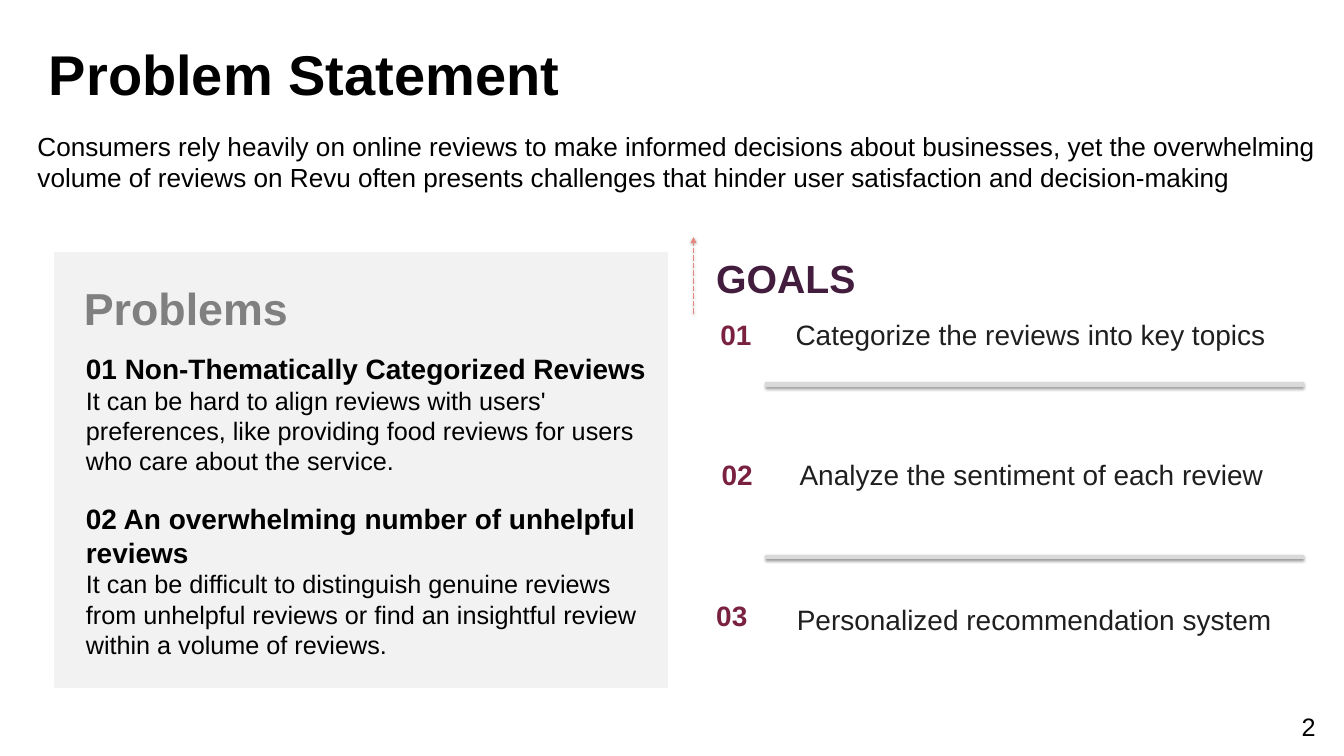
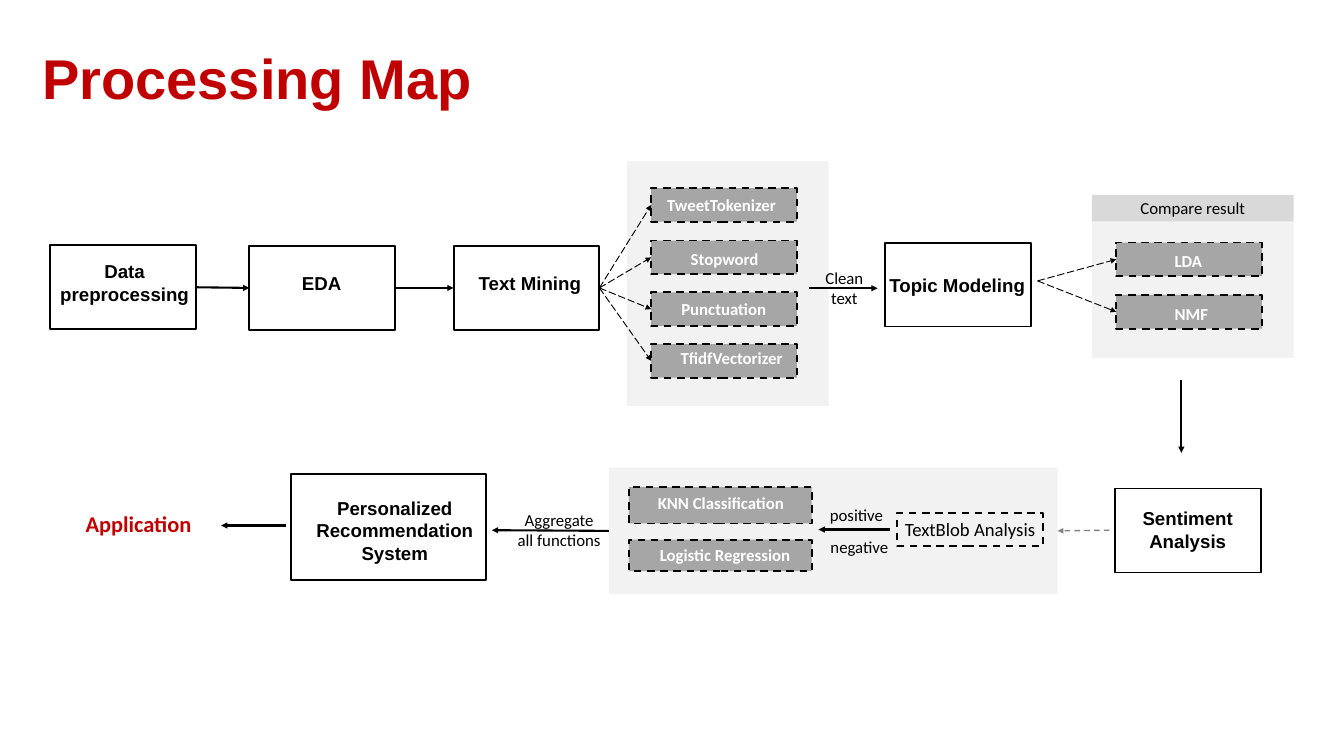
"""Build the problem statement and processing map slides."""
from lxml.etree import SubElement
from pptx import Presentation
from pptx.dml.color import RGBColor
from pptx.enum.dml import MSO_LINE
from pptx.enum.shapes import MSO_CONNECTOR, MSO_SHAPE
from pptx.enum.text import MSO_ANCHOR, PP_ALIGN
from pptx.oxml import parse_xml
from pptx.oxml.ns import nsdecls, qn
from pptx.util import Inches, Pt

BLACK, WHITE, RED = "000000", "FFFFFF", "C00000"
PANEL, CHIP, RULE = "F2F2F2", "A6A6A6", "D9D9D9"
PLUM, WINE, INK, GRAY, CORAL = "431D3D", "7A2141", "1F1F1F", "808080", "E78681"
HEAD, LABEL = "Arial", "Calibri"
CENTER = PP_ALIGN.CENTER
TOP, LEFT, BOTTOM, RIGHT = range(4)
SHADOW = (
    f'<a:effectLst {nsdecls("a")}><a:outerShdw blurRad="39370" dist="20320" dir="5400000" rotWithShape="0">'
    '<a:srgbClr val="000000"><a:alpha val="38000"/></a:srgbClr></a:outerShdw></a:effectLst>'
)


def block(slide, at, text="", size=18, color=BLACK, bold=False, font=HEAD,
          align=PP_ALIGN.LEFT, fill=None, line=None, dash=None, wrap=True):
    """Add a text box, or a rectangle when it has a fill or a line."""
    place = [Inches(length) for length in at]
    if fill or line:
        shape = slide.shapes.add_shape(MSO_SHAPE.RECTANGLE, *place)
        shape.shadow.inherit = False
        if fill:
            shape.fill.solid()
            shape.fill.fore_color.rgb = RGBColor.from_string(fill)
        else:
            shape.fill.background()
        if line:
            shape.line.color.rgb = RGBColor.from_string(line)
            shape.line.width = Pt(2)
            shape.line.dash_style = dash
        else:
            shape.line.fill.background()
    else:
        shape = slide.shapes.add_textbox(*place)
    frame = shape.text_frame
    frame.word_wrap = wrap
    frame.vertical_anchor = MSO_ANCHOR.TOP
    if text:
        frame.text = text
        for paragraph in frame.paragraphs:
            paragraph.alignment = align
            for run in paragraph.runs:
                run.font.size = Pt(size)
                run.font.name = font
                run.font.bold = bold
                run.font.color.rgb = RGBColor.from_string(color)
    return shape


def link(slide, start, end, color=BLACK, width=2.25, dash=None, arrow=True, shadow=False):
    """Draw a line between two ends, each a point or a (shape, side) pair."""
    connector = slide.shapes.add_connector(MSO_CONNECTOR.STRAIGHT, 0, 0, 0, 0)
    if isinstance(start[0], (int, float)):
        connector.begin_x, connector.begin_y = Inches(start[0]), Inches(start[1])
    else:
        connector.begin_connect(*start)
    if isinstance(end[0], (int, float)):
        connector.end_x, connector.end_y = Inches(end[0]), Inches(end[1])
    else:
        connector.end_connect(*end)
    connector.line.color.rgb = RGBColor.from_string(color)
    connector.line.width = Pt(width)
    connector.line.dash_style = dash
    if arrow:
        SubElement(connector.line._get_or_add_ln(), qn("a:tailEnd"), type="triangle")
    effects = SHADOW if shadow else f'<a:effectLst {nsdecls("a")}/>'
    connector._element.spPr.append(parse_xml(effects))
    return connector


deck = Presentation()
deck.slide_width, deck.slide_height = Inches(20), Inches(11.25)
slides = []
for title, left, top, color in [("Problem Statement", 0.63, 0.54, BLACK),
                                ("Processing Map", 0.53, 0.6, RED)]:
    slide = deck.slides.add_slide(deck.slide_layouts[6])
    block(slide, (left, top, 19.45, 1.11), title, 60, color, bold=True)
    slides.append(slide)
statement, process = slides

block(statement, (19.27, 10.54, 0.57, 0.56), "2", 27)
block(statement, (0.46, 1.89, 19.54, 1.04),
      "Consumers rely heavily on online reviews to make informed decisions about businesses, "
      "yet the overwhelming volume of reviews on Revu often presents challenges that hinder "
      "user satisfaction and decision-making", 28)

block(statement, (0.82, 3.77, 9.1, 6.45), fill=PANEL, line=PANEL)
block(statement, (1.15, 4.13, 5.81, 0.91), "Problems", 48, GRAY, bold=True)
problems = block(
    statement, (1.18, 5.18, 8.6, 4.81),
    "01 Non-Thematically Categorized Reviews\n"
    "It can be hard to align reviews with users' preferences, like providing food reviews "
    "for users who care about the service.\n"
    "02 An overwhelming number of unhelpful reviews\n"
    "It can be difficult to distinguish genuine reviews from unhelpful reviews or find an "
    "insightful review within a volume of reviews.", 27).text_frame.paragraphs
for heading in problems[::2]:
    heading.runs[0].font.size = Pt(30)
    heading.runs[0].font.bold = True
problems[2].space_before = Pt(27.6)

block(statement, (10.56, 3.74, 2.47, 0.81), "GOALS", 42, PLUM, bold=True)
link(statement, (10.32, 4.67), (10.32, 3.53), CORAL, 0.75, MSO_LINE.LONG_DASH, shadow=True)
for rule_y in (5.72, 8.29):
    link(statement, (11.39, rule_y), (19.4, rule_y), RULE, 5, arrow=False, shadow=True)
goals = [
    ("01", 10.62, 4.67, "Categorize the reviews into key topics", 11.74, 4.67, 1),
    ("02", 10.64, 6.76, "Analyze the sentiment of each review", 11.8, 6.68, 1.15),
    ("03", 10.56, 8.86, "Personalized recommendation system", 11.76, 8.91, 1),
]
for number, number_x, number_y, goal, goal_x, goal_y, spacing in goals:
    block(statement, (number_x, number_y, 0.83, 1.11), number, 30, WINE, bold=True)
    goal_text = block(statement, (goal_x, goal_y, 7.67, 0.62), goal, 30, INK)
    goal_text.text_frame.paragraphs[0].line_spacing = spacing

sentiment_panel = block(process, (9.06, 6.96, 6.68, 1.88), fill=PANEL)
block(process, (9.33, 2.4, 3, 3.64), fill=PANEL)
block(process, (16.25, 3.31, 3, 2.02), fill=PANEL)
block(process, (16.25, 2.9, 3, 0.4), "Compare result", font=LABEL, align=CENTER, fill=RULE)

steps = {}
for step, frame_at, text_at in [
    ("Data preprocessing", (0.75, 3.65, 2.17, 1.25), (0.69, 3.82, 2.33, 0.77)),
    ("EDA", (3.71, 3.66, 2.17, 1.25), (3.62, 4, 2.33, 0.44)),
    ("Text Mining", (6.75, 3.66, 2.17, 1.25), (6.72, 4, 2.33, 0.44)),
    ("Topic Modeling", (13.17, 3.61, 2.17, 1.25), (13.08, 4.03, 2.33, 0.44)),
    ("Sentiment\nAnalysis", (16.59, 7.27, 2.17, 1.25), (16.51, 7.5, 2.33, 0.77)),
    ("Personalized Recommendation System", (4.33, 7.06, 2.9, 1.57), (4.43, 7.34, 2.89, 1.11)),
]:
    steps[step] = block(process, frame_at, line=BLACK)
    block(process, text_at, step, 20, bold=True, align=CENTER)

methods = {}
for method, chip_at, text_at in [
    ("TweetTokenizer", (9.69, 2.8, 2.17, 0.5), (9.83, 2.85, 1.83, 0.4)),
    ("Stopword", (9.69, 3.58, 2.17, 0.5), (10.18, 3.65, 1.22, 0.4)),
    ("Punctuation", (9.69, 4.35, 2.17, 0.5), (10.04, 4.39, 1.48, 0.4)),
    ("TfidfVectorizer", (9.69, 5.12, 2.17, 0.5), (10.03, 5.12, 1.73, 0.4)),
    ("LDA", (16.61, 3.61, 2.17, 0.5), (17.38, 3.68, 0.65, 0.4)),
    ("NMF", (16.61, 4.39, 2.17, 0.5), (17.38, 4.47, 0.72, 0.4)),
    ("KNN Classification", (9.36, 7.25, 2.72, 0.54), (9.69, 7.29, 2.1, 0.4)),
    ("Logistic Regression", (9.36, 8.03, 2.72, 0.47), (9.72, 8.06, 2.17, 0.4)),
]:
    methods[method] = block(process, chip_at, fill=CHIP, line=BLACK, dash=MSO_LINE.DASH)
    block(process, text_at, method, color=WHITE, bold=True, font=LABEL, wrap=False)

textblob = block(process, (13.35, 7.63, 2.17, 0.5), "TextBlob Analysis", 20, font=LABEL,
                 align=CENTER, fill=PANEL, line=BLACK, dash=MSO_LINE.DASH)
textblob.text_frame.vertical_anchor = MSO_ANCHOR.MIDDLE

text_mining = steps["Text Mining"]
for cleaner in ("TweetTokenizer", "Stopword", "Punctuation", "TfidfVectorizer"):
    link(process, (text_mining, RIGHT), (methods[cleaner], LEFT), width=1, dash=MSO_LINE.LONG_DASH)
for topic_model in ("LDA", "NMF"):
    link(process, (15.44, 4.18), (methods[topic_model], LEFT), width=1, dash=MSO_LINE.LONG_DASH)

link(process, (steps["Data preprocessing"], RIGHT), (steps["EDA"], LEFT))
link(process, (steps["EDA"], RIGHT), (text_mining, LEFT))
link(process, (12.04, 4.29), (13.06, 4.29))
link(process, (17.58, 5.66), (17.58, 6.74))
link(process, (16.51, 7.89), (sentiment_panel, RIGHT), GRAY, 1.5, MSO_LINE.DASH)
link(process, (13.25, 7.88), (12.18, 7.88))
link(process, (sentiment_panel, LEFT), (7.32, 7.89))
link(process, (4.26, 7.82), (3.29, 7.82))

for caption, at, align in [
    ("positive", (12.25, 7.46, 1.07, 0.4), PP_ALIGN.LEFT),
    ("negative", (12.26, 7.94, 1.07, 0.4), PP_ALIGN.LEFT),
    ("Clean\ntext", (12.03, 3.93, 1.07, 0.71), CENTER),
    ("Aggregate\nall functions", (6.98, 7.53, 2.68, 0.71), CENTER),
]:
    block(process, at, caption, font=LABEL, align=align)
block(process, (0.72, 7.54, 2.68, 0.5), "Application", 24, RED, bold=True, font=LABEL, align=CENTER)

deck.save("out.pptx")
